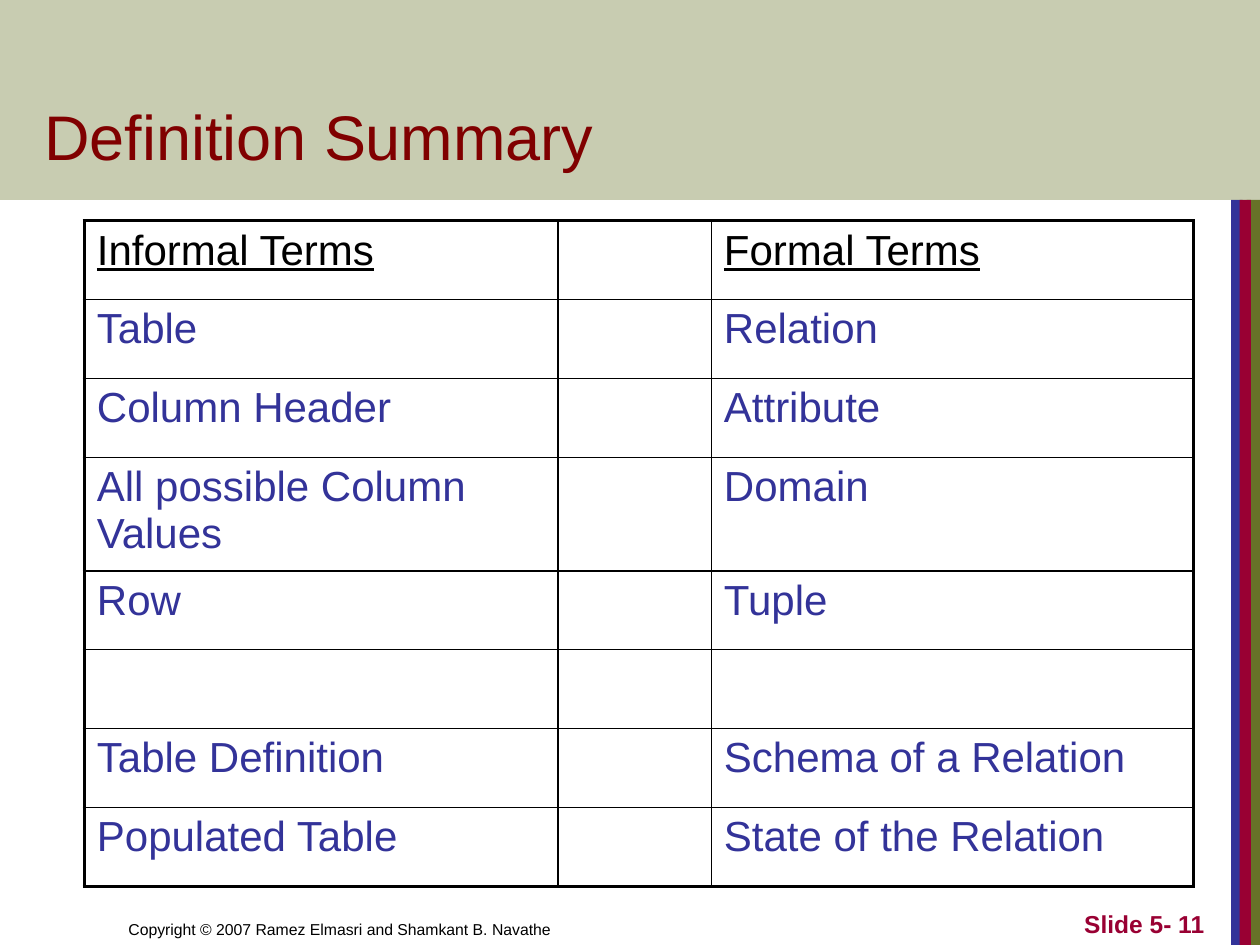
from dataclasses import dataclass

from lxml.etree import SubElement
from pptx import Presentation
from pptx.dml.color import RGBColor
from pptx.enum.shapes import MSO_SHAPE
from pptx.enum.text import MSO_ANCHOR, PP_ALIGN
from pptx.oxml import parse_xml
from pptx.oxml.ns import nsdecls, qn
from pptx.slide import Slide
from pptx.table import Table, _Cell
from pptx.text.text import TextFrame
from pptx.util import Cm, Pt

BLACK = RGBColor(0x00, 0x00, 0x00)
OLIVE = RGBColor(0x67, 0x72, 0x28)
BLUE = RGBColor(0x33, 0x33, 0x99)
CRIMSON = RGBColor(0x99, 0x00, 0x33)
MAROON = RGBColor(0x80, 0x00, 0x00)

FONT = "Arial"
SLIDE_WIDTH, SLIDE_HEIGHT = 25.4, 19.05
HEADER_HEIGHT = 4.03
ROW_HEIGHT = 1.59
COLUMN_WIDTHS = (9.55, 3.09, 9.72)
OUTER_BORDER, INNER_BORDER = 2.25, 1

TERMS = (
    ("Informal Terms", "Formal Terms"),
    ("Table", "Relation"),
    ("Column Header", "Attribute"),
    ("All possible Column Values", "Domain"),
    ("Row", "Tuple"),
    ("", ""),
    ("Table Definition", "Schema of a Relation"),
    ("Populated Table", "State of the Relation"),
)


@dataclass(frozen=True)
class Bar:
    """A filled rectangle, measured in centimetres."""
    left: float
    top: float
    width: float
    height: float
    color: RGBColor
    opacity: int = 100


@dataclass(frozen=True)
class Label:
    """A bottom-anchored text box, measured in centimetres."""
    text: str
    left: float
    top: float
    width: float
    height: float
    size: float
    color: RGBColor
    bold: bool = False
    alignment: PP_ALIGN = PP_ALIGN.LEFT


STRIPE_HEIGHT = SLIDE_HEIGHT - HEADER_HEIGHT
BARS = (
    Bar(25.13, HEADER_HEIGHT, 0.27, STRIPE_HEIGHT, OLIVE),
    Bar(24.82, HEADER_HEIGHT, 0.23, STRIPE_HEIGHT, BLUE),
    Bar(24.99, HEADER_HEIGHT, 0.23, STRIPE_HEIGHT, CRIMSON),
    Bar(0, 0, SLIDE_WIDTH, HEADER_HEIGHT, OLIVE, opacity=36),
)
LABELS = (
    Label("Copyright © 2007 Ramez Elmasri and Shamkant B. Navathe",
          2.34, 17.78, 12.5, 1.27, 9, BLACK),
    Label("Slide 5- 11", 19.25, 17.78, 5.28, 1.27, 14, CRIMSON,
          bold=True, alignment=PP_ALIGN.RIGHT),
    Label("Definition Summary", 0.64, 0.84, 21.67, 2.77, 36, MAROON),
)


def write_text(frame: TextFrame, text: str, *, size: float, color: RGBColor,
               bold: bool = False, underline: bool = False,
               alignment: PP_ALIGN = PP_ALIGN.LEFT) -> None:
    paragraph = frame.paragraphs[0]
    paragraph.alignment = alignment
    run = paragraph.add_run()
    run.text = text
    font = run.font
    font.name, font.size, font.color.rgb = FONT, Pt(size), color
    font.bold, font.underline = bold, underline


def add_bar(slide: Slide, bar: Bar) -> None:
    shape = slide.shapes.add_shape(
        MSO_SHAPE.RECTANGLE, Cm(bar.left), Cm(bar.top), Cm(bar.width), Cm(bar.height))
    shape.shadow.inherit = False
    shape.line.fill.background()
    shape.fill.solid()
    shape.fill.fore_color.rgb = bar.color
    if bar.opacity < 100:
        color = shape.fill._xPr.find(qn("a:solidFill")).find(qn("a:srgbClr"))
        SubElement(color, qn("a:alpha"), val=str(bar.opacity * 1000))


def add_label(slide: Slide, label: Label) -> None:
    box = slide.shapes.add_textbox(
        Cm(label.left), Cm(label.top), Cm(label.width), Cm(label.height))
    frame = box.text_frame
    frame.word_wrap = True
    frame.vertical_anchor = MSO_ANCHOR.BOTTOM
    write_text(frame, label.text, size=label.size, color=label.color,
               bold=label.bold, alignment=label.alignment)


def set_borders(cell: _Cell, outer_sides: dict[str, bool]) -> None:
    """Draw every side of the cell, thicker where it lies on the table's edge."""
    properties = cell._tc.get_or_add_tcPr()
    for position, (side, is_outer) in enumerate(outer_sides.items()):
        width = Pt(OUTER_BORDER if is_outer else INNER_BORDER)
        properties.insert(position, parse_xml(
            f'<a:ln{side} {nsdecls("a")} w="{int(width)}"><a:solidFill>'
            f'<a:srgbClr val="{BLACK}"/></a:solidFill></a:ln{side}>'))


def add_terms_table(slide: Slide) -> Table:
    table = slide.shapes.add_table(
        len(TERMS), len(COLUMN_WIDTHS), Cm(1.7), Cm(4.45),
        Cm(sum(COLUMN_WIDTHS)), Cm(ROW_HEIGHT * len(TERMS))).table
    table.first_row = table.horz_banding = False
    for column, width in zip(table.columns, COLUMN_WIDTHS):
        column.width = Cm(width)

    last_row, last_column = len(TERMS) - 1, len(COLUMN_WIDTHS) - 1
    for row_index, (informal, formal) in enumerate(TERMS):
        table.rows[row_index].height = Cm(ROW_HEIGHT)
        is_header = row_index == 0
        for column_index, text in enumerate((informal, "", formal)):
            cell = table.cell(row_index, column_index)
            cell.fill.background()
            set_borders(cell, {"L": column_index == 0, "R": column_index == last_column,
                               "T": is_header, "B": row_index == last_row})
            if text:
                write_text(cell.text_frame, text, size=24, underline=is_header,
                           color=BLACK if is_header else BLUE)
    return table


def main() -> None:
    presentation = Presentation()
    presentation.slide_width = Cm(SLIDE_WIDTH)
    presentation.slide_height = Cm(SLIDE_HEIGHT)
    slide = presentation.slides.add_slide(presentation.slide_layouts[6])
    for bar in BARS:
        add_bar(slide, bar)
    for label in LABELS:
        add_label(slide, label)
    add_terms_table(slide)
    presentation.save("out.pptx")


if __name__ == "__main__":
    main()
